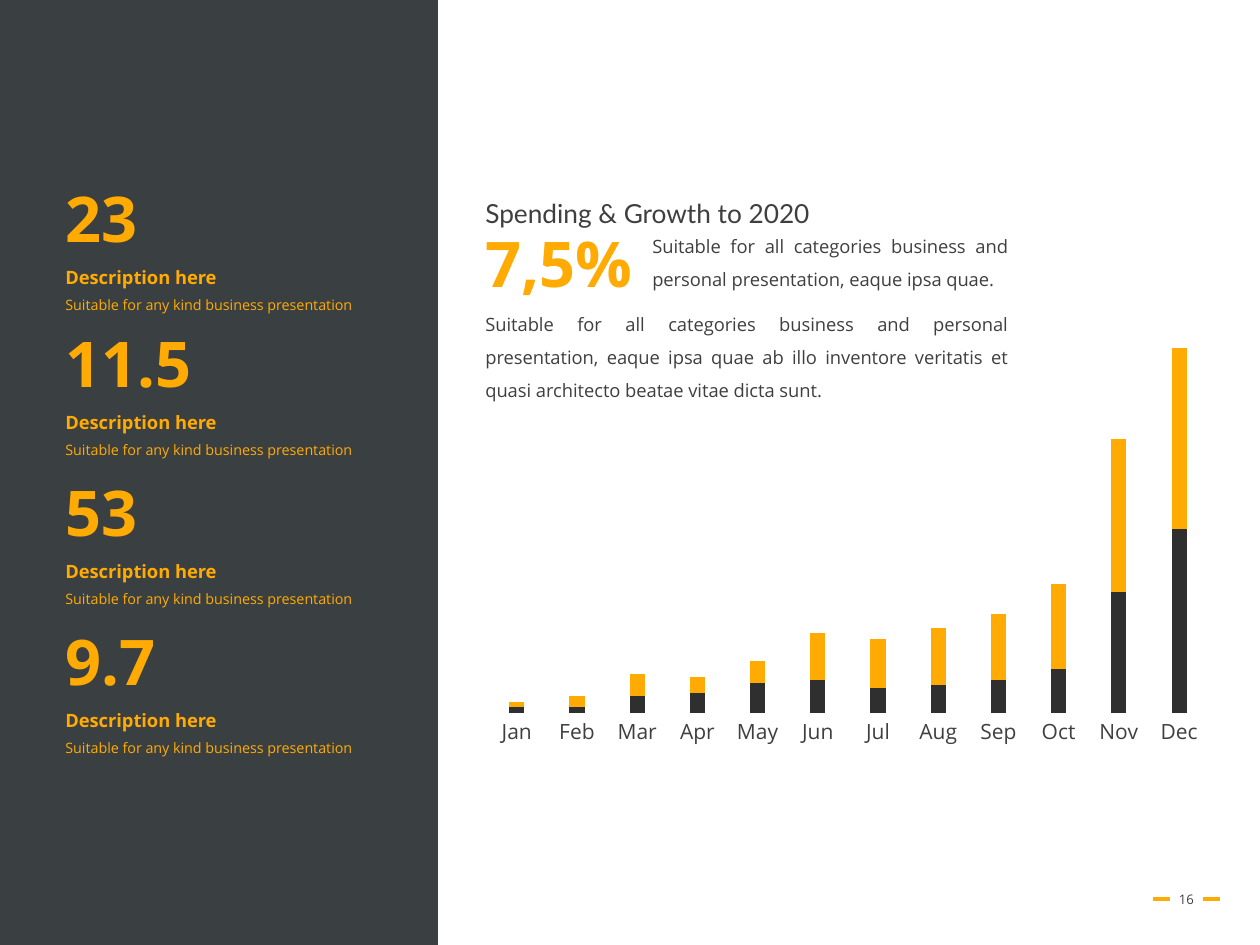
import pptx
import pptx.util
import pptx.dml.color
import pptx.chart.data
import pptx.enum.chart
import pptx.enum.shapes
import pptx.enum.text
import pptx.oxml
import pptx.oxml.ns

PX = 914400 // 126
THEME = {
    "accent": "FFAB03", "text": "3F3F3F", "dark": "2F2F2F", "panel": "181E20",
    "body_font": "Open Sans", "title_font": "Lato",
    "big": 36, "title": 15, "body": 10.5, "small": 8.2, "page": 7.5, "axis": 12,
}
STATS = [("23", 173), ("11.5", 318), ("53", 467), ("9.7", 616)]
STAT_LABEL = "Description here"
STAT_NOTE = "Suitable for any kind business presentation"
TITLE = "Spending & Growth to 2020"
GROWTH = "7,5%"
LEAD = "Suitable for all categories business and personal presentation, eaque ipsa quae."
BODY = ("Suitable for all categories business and personal presentation, eaque ipsa quae "
        "ab illo inventore veritatis et quasi architecto beatae vitae dicta sunt.")
PAGE = "16"
MONTHS = "Jan Feb Mar Apr May Jun Jul Aug Sep Oct Nov Dec".split()
SERIES = [
    ("Series 1", (2, 2, 6, 7, 11, 12, 9, 10, 12, 16, 44, 67), "dark"),
    ("Series 2", (2, 4, 8, 6, 8, 17, 18, 21, 24, 31, 56, 100), "accent"),
]
AXIS_MAX = 133
PLOT = {"x": 0.07, "y": 0.125, "w": 0.924, "h": 0.719}
ALIGN = pptx.enum.text.PP_ALIGN


def color(key):
    """Return the theme colour as RGB."""
    return pptx.dml.color.RGBColor.from_string(THEME[key])


def box(*lengths):
    """Turn pixel lengths into EMU."""
    return [n * PX for n in lengths]


def set_font(font, size, ink="text", face="body_font", bold=False):
    """Apply theme values to a font."""
    font.name = THEME[face]
    font.size = pptx.util.Pt(THEME[size])
    font.bold = bold
    font.color.rgb = color(ink)


def add_text(s, at, lines, align=ALIGN.LEFT, wrap=True, grow=True):
    """Add a text box; each line is (text, line spacing, font options)."""
    sp = s.shapes.add_textbox(*box(*at))
    tf = sp.text_frame
    tf.word_wrap = wrap
    if grow:
        tf.auto_size = pptx.enum.text.MSO_AUTO_SIZE.SHAPE_TO_FIT_TEXT
    tf.text = "\n".join(text for text, _, _ in lines)
    for p, (_, spacing, options) in zip(tf.paragraphs, lines):
        p.alignment = align
        p.line_spacing = spacing
        set_font(p.runs[0].font, **options)
    return sp


def add_panel(s):
    """Add the dark translucent panel on the left."""
    sp = s.shapes.add_shape(pptx.enum.shapes.MSO_SHAPE.RECTANGLE, *box(-1, 0, 439, 945))
    sp.shadow.inherit = False
    sp.line.fill.background()
    sp.fill.solid()
    sp.fill.fore_color.rgb = color("panel")
    rgb = sp._element.spPr.find(".//" + pptx.oxml.ns.qn("a:srgbClr"))
    rgb.append(pptx.oxml.parse_xml(
        '<a:alpha %s val="85000"/>' % pptx.oxml.ns.nsdecls("a")))


def add_page_number(s):
    """Add the page number between two dashes."""
    for left in (1153, 1203):
        line = s.shapes.add_connector(
            pptx.enum.shapes.MSO_CONNECTOR.STRAIGHT, *box(left, 899, left + 17, 899))
        line.line.color.rgb = color("accent")
        line.line.width = pptx.util.Pt(1.75)
        line._element.spPr.append(pptx.oxml.parse_xml(
            "<a:effectLst %s/>" % pptx.oxml.ns.nsdecls("a")))
    sp = add_text(s, (1159, 874, 55, 50), [(PAGE, 1, {"size": "page"})],
                  ALIGN.CENTER, grow=False)
    sp.text_frame.vertical_anchor = pptx.enum.text.MSO_ANCHOR.MIDDLE


def add_spending_chart(s):
    """Add the stacked monthly column chart."""
    data = pptx.chart.data.CategoryChartData()
    data.categories = MONTHS
    for name, values, _ in SERIES:
        data.add_series(name, values)
    chart = s.shapes.add_chart(pptx.enum.chart.XL_CHART_TYPE.COLUMN_STACKED,
                               *box(432, 285, 782, 507), data).chart
    chart.has_legend = False
    chart.has_title = False
    set_font(chart.font, "axis")
    plot = chart.plots[0]
    plot.gap_width = 300
    plot.overlap = 100
    plot.vary_by_categories = False
    for series, (_, _, fill) in zip(plot.series, SERIES):
        series.format.fill.solid()
        series.format.fill.fore_color.rgb = color(fill)
    months = chart.category_axis
    months.major_tick_mark = pptx.enum.chart.XL_TICK_MARK.NONE
    months.format.line.fill.background()
    set_font(months.tick_labels.font, "axis")
    values = chart.value_axis
    values.minimum_scale = 0
    values.maximum_scale = AXIS_MAX
    values.has_major_gridlines = False
    values.visible = False
    area = chart._chartSpace.chart.plotArea
    for old in area.findall(pptx.oxml.ns.qn("c:layout")):
        area.remove(old)
    sizes = "".join('<c:%s val="%s"/>' % item for item in PLOT.items())
    area.insert(0, pptx.oxml.parse_xml(
        '<c:layout %s><c:manualLayout><c:layoutTarget val="inner"/><c:xMode val="edge"/>'
        '<c:yMode val="edge"/>%s</c:manualLayout></c:layout>'
        % (pptx.oxml.ns.nsdecls("c"), sizes)))


def add_stats(s):
    """Add the column of key figures on the panel."""
    for figure, top in STATS:
        add_text(s, (53, top, 319, 149), [
            (figure, 1, {"size": "big", "ink": "accent", "bold": True}),
            (STAT_LABEL, 1.5, {"size": "body", "ink": "accent", "bold": True}),
            (STAT_NOTE, 1.5, {"size": "small", "ink": "accent"}),
        ], wrap=False)


def add_story(s):
    """Add the title, growth figure and paragraphs."""
    body = {"size": "body"}
    add_text(s, (473, 296, 548, 113), [(BODY, 1.5, body)], ALIGN.JUSTIFY)
    add_text(s, (473, 175, 541, 60),
             [(TITLE, 1.5, {"size": "title", "face": "title_font"})], ALIGN.JUSTIFY)
    add_text(s, (473, 218, 174, 89),
             [(GROWTH, 1, {"size": "big", "ink": "accent", "bold": True})], wrap=False)
    add_text(s, (640, 218, 381, 79), [(LEAD, 1.5, body)], ALIGN.JUSTIFY)


prs = pptx.Presentation()
prs.slide_width, prs.slide_height = box(1260, 945)
s = prs.slides.add_slide(prs.slide_layouts[6])
add_page_number(s)
add_panel(s)
add_spending_chart(s)
add_stats(s)
add_story(s)
prs.save("out.pptx")
